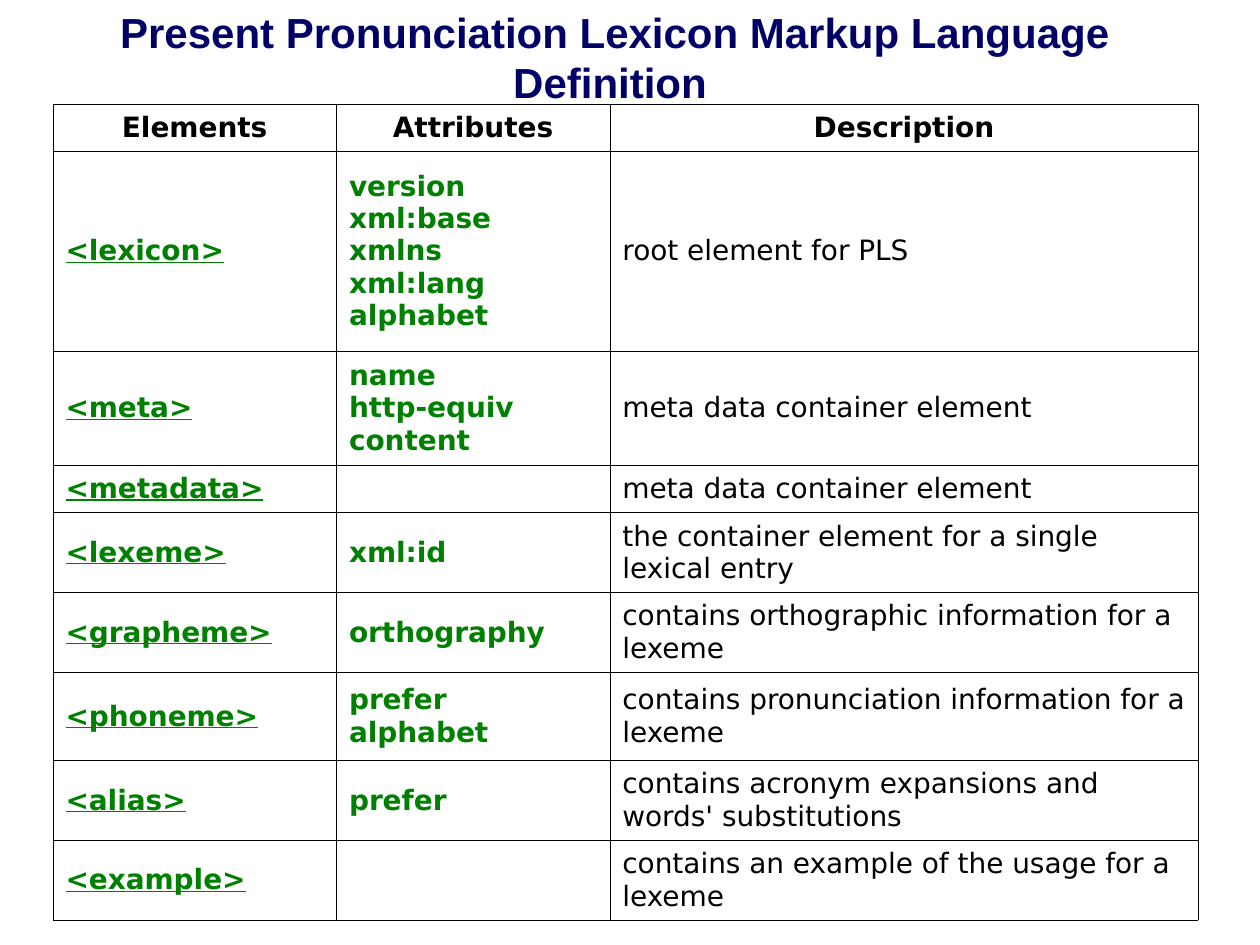
"""Build a slide with the element table of the Pronunciation Lexicon Markup Language."""
from dataclasses import dataclass

from lxml import etree
from pptx import Presentation
from pptx.dml.color import RGBColor
from pptx.enum.text import MSO_ANCHOR, MSO_AUTO_SIZE, PP_ALIGN
from pptx.oxml.ns import qn
from pptx.util import Inches, Pt

CENTER, LEFT = PP_ALIGN.CENTER, PP_ALIGN.LEFT
MIDDLE = MSO_ANCHOR.MIDDLE
FIT_SHAPE = MSO_AUTO_SIZE.SHAPE_TO_FIT_TEXT


@dataclass(frozen=True)
class Theme:
    title_font: str = "Arial"
    table_font: str = "DejaVu Sans"
    title_color: str = "000066"
    code_color: str = "008000"
    text_color: str = "000000"
    border_color: str = "000000"
    title_size: int = 24
    space_size: int = 20
    table_size: int = 16
    border_width: float = 0.34


theme = Theme()


def format_run(span, font, size, color, bold, underline=False):
    span.font.name = font
    span.font.size = Pt(size)
    span.font.color.rgb = RGBColor.from_string(color)
    span.font.bold = bold
    span.font.underline = underline


def add_borders(cell):
    properties = cell._tc.get_or_add_tcPr()
    for index, side in enumerate(("lnL", "lnR", "lnT", "lnB")):
        line = etree.Element(qn(f"a:{side}"), w=str(int(Pt(theme.border_width))))
        fill = etree.SubElement(line, qn("a:solidFill"))
        etree.SubElement(fill, qn("a:srgbClr"), val=theme.border_color)
        properties.insert(index, line)


deck = Presentation()
deck.slide_width, deck.slide_height = Inches(10), Inches(7.5)
page = deck.slides.add_slide(deck.slide_layouts[5])

title = page.shapes.title
title.left, title.top = Inches(0.67), Inches(0)
title.width, title.height = Inches(8.42), Inches(0.9)
title_frame = title.text_frame
title_frame.word_wrap = True
title_frame.auto_size = FIT_SHAPE
title_frame.vertical_anchor = MIDDLE
heading = title_frame.paragraphs[0]
heading.alignment = CENTER
for text, size in (
    ("Present Pronunciation Lexicon Markup Language Definition", theme.title_size),
    (" ", theme.space_size),
):
    span = heading.add_run()
    span.text = text
    format_run(span, theme.title_font, size, theme.title_color, True)

rows = [
    (0.37, "Elements", ["Attributes"], "Description"),
    (1.59, "<lexicon>", ["version", "xml:base", "xmlns", "xml:lang", "alphabet"],
     "root element for PLS"),
    (0.9, "<meta>", ["name", "http-equiv", "content"], "meta data container element"),
    (0.38, "<metadata>", [], "meta data container element"),
    (0.63, "<lexeme>", ["xml:id"], "the container element for a single lexical entry"),
    (0.63, "<grapheme>", ["orthography"], "contains orthographic information for a lexeme"),
    (0.7, "<phoneme>", ["prefer", "alphabet"],
     "contains pronunciation information for a lexeme"),
    (0.63, "<alias>", ["prefer"], "contains acronym expansions and words' substitutions"),
    (0.63, "<example>", [], "contains an example of the usage for a lexeme"),
]
column_widths = (2.25, 2.17, 4.67)
table_height = sum(row[0] for row in rows)

table = page.shapes.add_table(
    len(rows), len(column_widths), Inches(0.42), Inches(0.83),
    Inches(sum(column_widths)), Inches(table_height),
).table
table.first_row = False
table.horz_banding = False
for column, width in zip(table.columns, column_widths):
    column.width = Inches(width)

for row_index, (height, element, attributes, description) in enumerate(rows):
    table.rows[row_index].height = Inches(height)
    is_header = row_index == 0
    for column_index, text in enumerate((element, "\v".join(attributes), description)):
        cell = table.cell(row_index, column_index)
        cell.fill.background()
        add_borders(cell)
        cell.vertical_anchor = MIDDLE
        paragraph = cell.text_frame.paragraphs[0]
        paragraph.text = text
        paragraph.alignment = CENTER if is_header else LEFT
        is_code = not is_header and column_index < 2
        for span in paragraph.runs:
            format_run(
                span, theme.table_font, theme.table_size,
                theme.code_color if is_code else theme.text_color,
                is_header or is_code,
                is_code and column_index == 0,
            )
        size = str(theme.table_size * 100)
        for line_break in paragraph._p.findall(qn("a:br")):
            break_format = etree.SubElement(line_break, qn("a:rPr"), sz=size)
            etree.SubElement(break_format, qn("a:latin"), typeface=theme.table_font)
        if not text:
            etree.SubElement(paragraph._p, qn("a:endParaRPr"), sz=size)

deck.save("out.pptx")
